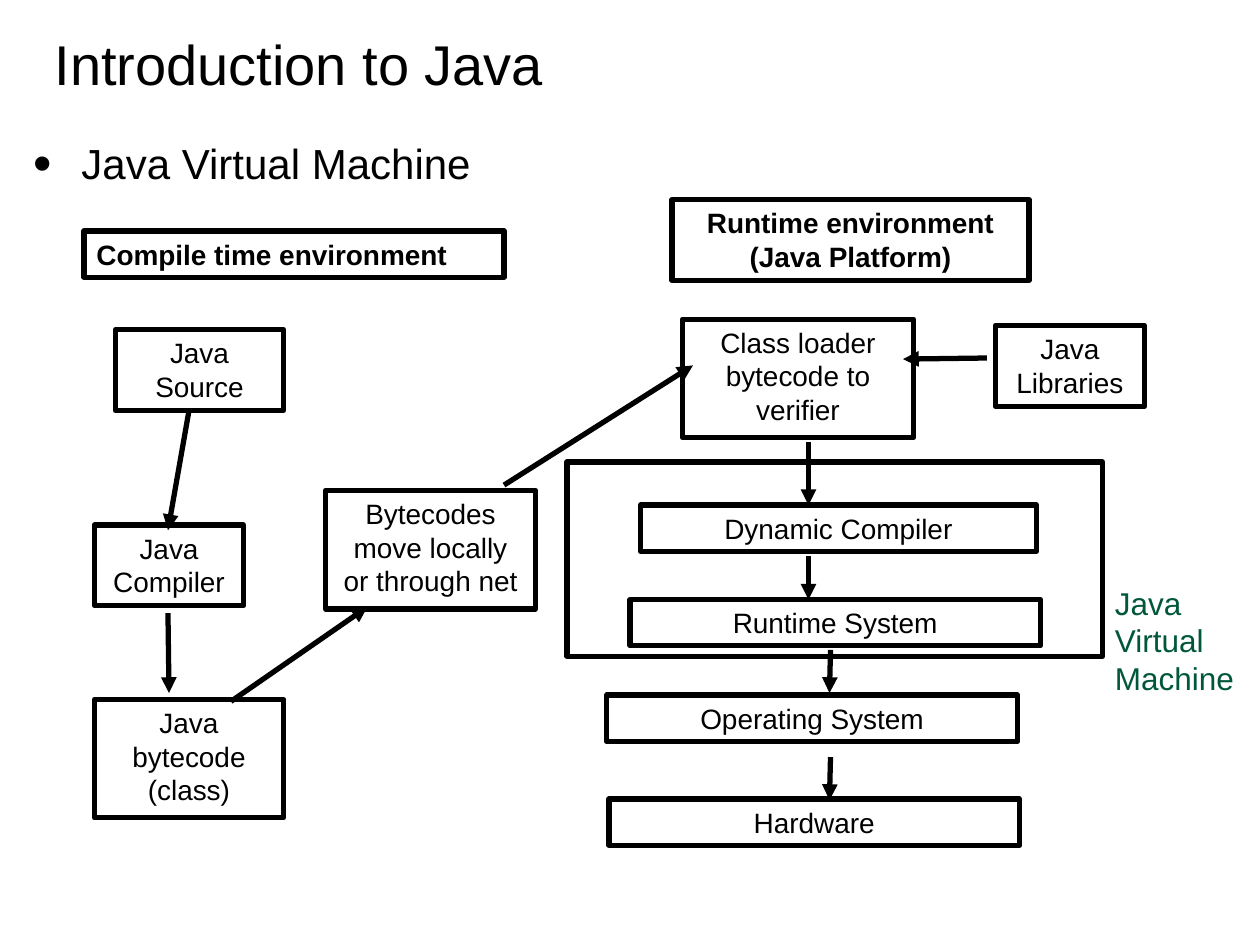
from lxml import etree
from pptx import Presentation
from pptx import util as u
from pptx.dml.color import RGBColor
from pptx.enum import shapes, text
from pptx.oxml.ns import qn

BLACK = RGBColor(0, 0, 0)
GREEN = RGBColor(0x00, 0x57, 0x3B)
CELL = u.Inches(1) / 12
LINE, TWO, THREE = 4.4, 7.7, 11.3
MID, LEFT = text.PP_ALIGN.CENTER, text.PP_ALIGN.LEFT


def span(*cells):
    """Turn grid cells into lengths."""
    return [u.Emu(round(c * CELL)) for c in cells]


def style(para, size, color=BLACK, bold=False, align=LEFT):
    """Set the font and alignment of a paragraph."""
    para.alignment = align
    font = para.font
    font.name, font.size, font.bold = "Arial", u.Pt(size), bold
    font.color.rgb = color


def block(slide, box, x, y, wide, high, words="", bold=False, align=MID):
    """Draw an outlined box at a cell of the region."""
    shape = slide.shapes.add_shape(
        shapes.MSO_SHAPE.RECTANGLE, *span(box[0] + x, box[1] + y, wide, high))
    shape.shadow.inherit = False
    shape.fill.background()
    shape.line.color.rgb = BLACK
    shape.line.width = u.Pt(3)
    if words:
        frame = shape.text_frame
        frame.text = words
        frame.word_wrap = True
        frame.vertical_anchor = text.MSO_ANCHOR.TOP
        style(frame.paragraphs[0], 16, bold=bold, align=align)


def arrow(slide, box, *ends):
    """Draw an arrow between two points of the region."""
    points = [end + box[i % 2] for i, end in enumerate(ends)]
    line = slide.shapes.add_connector(shapes.MSO_CONNECTOR.STRAIGHT, *span(*points))
    line.line.color.rgb = BLACK
    line.line.width = u.Pt(3)
    etree.SubElement(line.line._get_or_add_ln(), qn("a:tailEnd"), type="triangle")
    etree.SubElement(line._element.spPr, qn("a:effectLst"))


def label(slide, box, x, y, wide, high, words):
    """Write a green label beside a frame."""
    note = slide.shapes.add_textbox(*span(box[0] + x, box[1] + y, wide, high))
    note.text_frame.word_wrap = True
    note.text_frame.text = words
    style(note.text_frame.paragraphs[0], 18, GREEN)


def fill(holder, box, words, size, anchor):
    """Move a placeholder and write its text."""
    holder.left, holder.top, holder.width, holder.height = span(*box)
    frame = holder.text_frame
    frame.text = words
    frame.word_wrap = True
    frame.auto_size = text.MSO_AUTO_SIZE.NONE
    frame.vertical_anchor = anchor
    para = frame.paragraphs[0]
    style(para, size)
    return para


def heads(slide):
    """Fill the title and the bullet list."""
    fill(slide.shapes.title, (4, 2, 102, 8), "Introduction to Java", 32,
         text.MSO_ANCHOR.MIDDLE)
    para = fill(slide.placeholders[1], (2, 13, 115, 57.8), "Java Virtual Machine", 24,
                text.MSO_ANCHOR.TOP)
    para.line_spacing = 0.9
    para.space_before = u.Pt(4.8)
    props = para._p.get_or_add_pPr()
    props.set("marL", str(u.Inches(0.38)))
    props.set("indent", str(-u.Inches(0.38)))
    etree.SubElement(props, qn("a:buSzPct"), val="125000")
    etree.SubElement(props, qn("a:buChar"), char="•")


def build(slide, box):
    """Draw the compile time side."""
    block(slide, box, 0, 3, 40, LINE, "Compile time environment", True, LEFT)
    for part in (
        (3, 12.4, 16, TWO, "Java Source"),
        (1, 31, 14.2, TWO, "Java Compiler"),
        (1, 47.6, 18, THREE, "Java bytecode (class)"),
        (23, 27.7, 20, THREE, "Bytecodes move locally or through net"),
    ):
        block(slide, box, *part)
    for ends in ((10, 20.1, 8, 31.5), (8, 39.4, 8.1, 47),
                 (14, 47.8, 27, 38.8), (40, 27.2, 58, 15.8)):
        arrow(slide, box, *ends)


def run(slide, box):
    """Draw the runtime side."""
    block(slide, box, 10, 0, 34, TWO, "Runtime environment (Java Platform)", True)
    for part in (
        (11, 11.4, 22, THREE, "Class loader bytecode to verifier"),
        (40.8, 12, 14.2, TWO, "Java Libraries"),
        (7, 29.1, 37.7, LINE, "Dynamic Compiler"),
        (6, 38.1, 39.1, LINE, "Runtime System"),
        (3.8, 47.2, 39.1, LINE, "Operating System"),
        (4, 57.1, 39.1, LINE, "Hardware"),
        (0, 25, 51, 18.5),
    ):
        block(slide, box, *part)
    for ends in ((23, 23.1, 23, 29.1), (40, 15.1, 32, 15.2), (23, 34, 23, 38.1),
                 (25.1, 42.9, 25, 47), (25.1, 53.1, 25, 57.2)):
        arrow(slide, box, *ends)
    label(slide, box, 51, 36, 15, 12, "Java Virtual Machine")


def main():
    """Build and save the slide."""
    deck = Presentation()
    deck.slide_width, deck.slide_height = u.Inches(10), u.Inches(7.5)
    slide = deck.slides.add_slide(deck.slide_layouts[1])
    heads(slide)
    build(slide, (8, 19))
    run(slide, (54, 19))
    deck.save("out.pptx")


if __name__ == "__main__":
    main()
